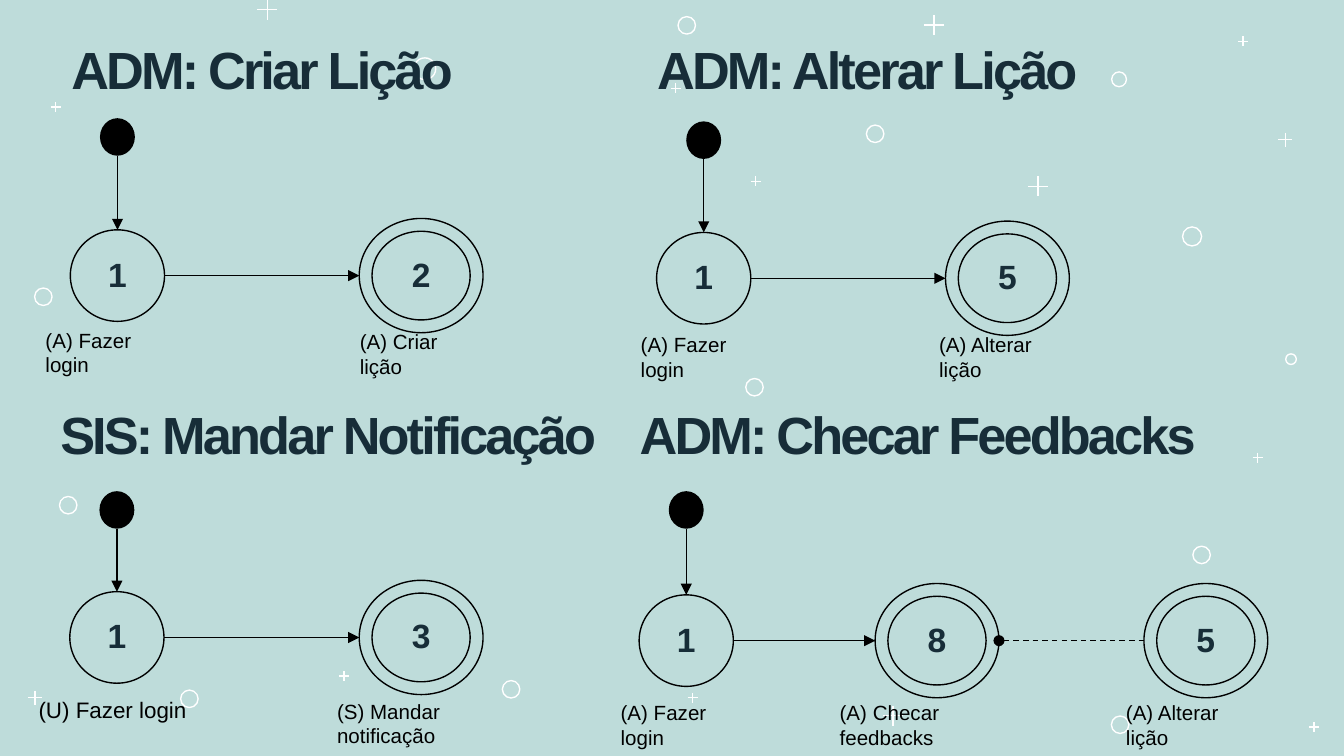
from lxml.etree import SubElement
from pptx import Presentation
from pptx.dml.color import RGBColor
from pptx.enum.dml import MSO_LINE
from pptx.enum.shapes import MSO_CONNECTOR, MSO_SHAPE
from pptx.enum.text import MSO_ANCHOR, PP_ALIGN
from pptx.oxml.ns import qn
from pptx.util import Cm, Pt

INK, BLACK, WHITE, MINT = "172D38", "000000", "FFFFFF", "BEDCDA"
DOT, STATE, FINAL = (0.66, 0.71), (1.78, 1.73), (2.34, 2.16)

CROSSES = {
    0.38: [(17.65, 0.47), (19.62, 3.52), (16.88, 13.53), (5.05, 0.18)],
    0.27: [(24.29, 2.64), (0.66, 13.19)],
    0.19: [(6.5, 12.78), (1.05, 2.02), (12.77, 1.67), (13.09, 13.19),
           (23.49, 0.78), (14.28, 3.43), (23.77, 8.65), (24.83, 13.74)],
}
RINGS = {
    0.41: [(8.03, 1.3)],
    0.36: [(22.53, 4.47)],
    0.33: [(3.58, 13.21), (9.66, 13.03), (1.29, 9.55), (14.26, 7.32),
           (22.71, 10.49), (16.54, 2.53), (12.98, 0.48), (0.82, 5.61),
           (21.17, 13.7)],
    0.28: [(21.15, 1.5)],
    0.2: [(24.4, 6.79)],
}
FLOWS = [
    dict(title=("ADM: Criar Lição", 1.35, 0.79, 8.84),
         x=2.22, top=2.59, y=5.21, ends=[("2", 7.96)],
         notes=[("(A) Fazer login", 0.61, 6.07, 2.87, 11),
                ("(A) Criar lição", 6.55, 6.1, 2.79, 11)]),
    dict(title=("ADM: Alterar Lição", 12.42, 0.79, 8.84),
         x=13.3, top=2.65, y=5.26, ends=[("5", 19.04)],
         notes=[("(A) Fazer login", 11.86, 6.15, 2.87, 11),
                ("(A) Alterar lição", 17.5, 6.15, 3.1, 11)]),
    dict(title=("SIS: Mandar Notificação", 1.14, 7.7, 10.34),
         x=2.21, top=9.64, y=12.05, ends=[("3", 7.96)],
         notes=[("(U) Fazer login", 0.48, 13.03, 3.43, 12),
                ("(S) Mandar notificação", 6.12, 13.08, 4.34, 11)]),
    dict(title=("ADM: Checar Feedbacks", 12.09, 7.7, 11.5),
         x=12.97, top=9.64, y=12.11, ends=[("8", 17.71), ("5", 22.79)],
         notes=[("(A) Fazer login", 11.48, 13.11, 2.87, 11),
                ("(A) Checar feedbacks", 15.62, 13.11, 4.14, 11),
                ("(A) Alterar lição", 21.03, 13.11, 3.1, 11)]),
]


def color(code):
    """Turn a hex string into a colour."""
    return RGBColor.from_string(code)


def write(frame, text, size=11, ink=BLACK, bold=False, align=PP_ALIGN.LEFT,
          lead=None, track=None):
    """Put one formatted line of text in a text frame."""
    frame.word_wrap = True
    para = frame.paragraphs[0]
    para.alignment = align
    if lead:
        para.line_spacing = lead
    run = para.add_run()
    run.text = text
    font = run.font
    font.name, font.size, font.bold = "Arial", Pt(size), bold
    font.color.rgb = color(ink)
    if track:
        run._r.get_or_add_rPr().set("spc", str(int(track * 100)))


def box(slide, text, x, y, wide, high, inset=None, **look):
    """Add a text box."""
    frame = slide.shapes.add_textbox(Cm(x), Cm(y), Cm(wide), Cm(high)).text_frame
    if inset is not None:
        frame.margin_left = frame.margin_right = Cm(inset)
        frame.margin_top = frame.margin_bottom = Cm(inset)
    write(frame, text, **look)


def round_at(slide, kind, x, y, size, fill=None, line=None):
    """Add a round shape centred on a point."""
    wide, high = size
    shape = slide.shapes.add_shape(
        kind, Cm(x - wide / 2), Cm(y - high / 2), Cm(wide), Cm(high))
    shape.shadow.inherit = False
    if fill:
        shape.fill.solid()
        shape.fill.fore_color.rgb = color(fill)
    else:
        shape.fill.background()
    if line:
        shape.line.color.rgb = color(line)
        shape.line.width = Pt(0.75)
    else:
        shape.line.fill.background()
    return shape


def state(slide, text, x, y, final=False):
    """Add a numbered state, with a double ring when final."""
    kind, size = (MSO_SHAPE.DONUT, FINAL) if final else (MSO_SHAPE.OVAL, STATE)
    shape = round_at(slide, kind, x, y, size, line=BLACK)
    if final:
        shape.adjustments[0] = 0.112
    shape.text_frame.vertical_anchor = MSO_ANCHOR.MIDDLE
    write(shape.text_frame, text, size=18, ink=INK, bold=True,
          align=PP_ALIGN.CENTER, lead=0.95)


def link(slide, start, stop, ink=BLACK, head=None, tail=None, dash=False):
    """Add a straight line with optional ends."""
    line = slide.shapes.add_connector(
        MSO_CONNECTOR.STRAIGHT, *[Cm(v) for v in (*start, *stop)])
    line.line.color.rgb = color(ink)
    line.line.width = Pt(0.75)
    if dash:
        line.line.dash_style = MSO_LINE.DASH
    for tag, kind in (("a:headEnd", head), ("a:tailEnd", tail)):
        if kind:
            SubElement(line.line._get_or_add_ln(), qn(tag)).set("type", kind)
    SubElement(line._element.spPr, qn("a:effectLst"))


def cross(slide, x, y, size):
    """Add a plus sign made of two lines."""
    half = size / 2
    link(slide, (x, y - half), (x, y + half), ink=WHITE)
    link(slide, (x - half, y), (x + half, y), ink=WHITE)


def decor(slide):
    """Scatter the white crosses and rings."""
    for size, spots in CROSSES.items():
        for x, y in spots:
            cross(slide, x, y, size)
    for size, spots in RINGS.items():
        for x, y in spots:
            round_at(slide, MSO_SHAPE.OVAL, x, y, (size, size), line=WHITE)


def flow(slide, title, x, top, y, ends, notes):
    """Draw one titled state diagram."""
    box(slide, *title, 3.4, inset=0, size=28, ink=INK, bold=True,
        lead=0.95, track=-1.5)
    round_at(slide, MSO_SHAPE.FLOWCHART_CONNECTOR, x, top, DOT, fill=BLACK)
    link(slide, (x, top + DOT[1] / 2), (x, y - STATE[1] / 2), tail="triangle")
    state(slide, "1", x, y)
    edge = x + STATE[0] / 2
    for step, (name, mid) in enumerate(ends):
        look = dict(head="oval", dash=True) if step else dict(tail="triangle")
        link(slide, (edge, y), (mid - FINAL[0] / 2, y), **look)
        state(slide, name, mid, y, final=True)
        edge = mid + FINAL[0] / 2
    for text, left, high, wide, size in notes:
        box(slide, text, left, high, wide, 0.74, size=size)


def main():
    """Build the slide and save it."""
    deck = Presentation()
    deck.slide_width, deck.slide_height = Cm(25.4), Cm(14.29)
    slide = deck.slides.add_slide(deck.slide_layouts[6])
    slide.background.fill.solid()
    slide.background.fill.fore_color.rgb = color(MINT)
    decor(slide)
    for item in FLOWS:
        flow(slide, **item)
    deck.save("out.pptx")


if __name__ == "__main__":
    main()
